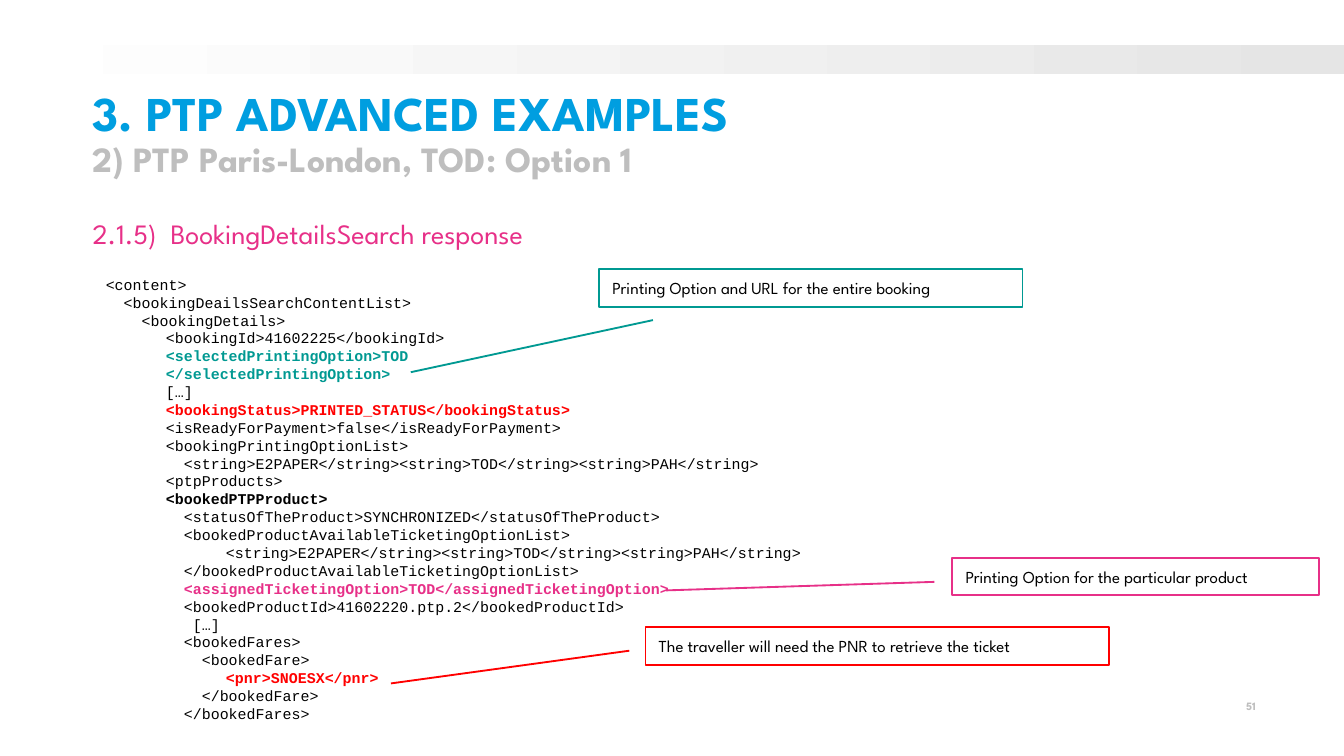
from dataclasses import dataclass

from pptx import Presentation
from pptx.dml.color import RGBColor
from pptx.enum.shapes import MSO_SHAPE as Shape
from pptx.enum.text import MSO_ANCHOR as Anchor, PP_ALIGN as Align
from pptx.slide import Slide
from pptx.text.text import TextFrame, _Paragraph as Paragraph
from pptx.util import Pt


@dataclass(frozen=True)
class Theme:
    heading_font: str = "League Spartan"
    code_font: str = "Courier New"
    white: str = "FFFFFF"
    band: str = "E5E5E5"
    black: str = "000000"
    blue: str = "009EE0"
    grey: str = "BEBEBE"
    pink: str = "E73088"
    teal: str = "009992"
    red: str = "FF0000"
    title_size: float = 26
    subtitle_size: float = 19
    section_size: float = 15
    callout_size: float = 9
    code_size: float = 8
    number_size: float = 6
    code_pitch: float = 9.57
    code_indent: float = 32.2


@dataclass(frozen=True)
class Box:
    left: float
    top: float
    width: float
    height: float

    def lengths(self) -> tuple[Pt, Pt, Pt, Pt]:
        return Pt(self.left), Pt(self.top), Pt(self.width), Pt(self.height)


@dataclass(frozen=True)
class CodeLine:
    text: str
    level: int = 1
    color: str = "000000"
    bold: bool = False


@dataclass(frozen=True)
class Callout:
    """The pointer holds y, x of its start and y, x of its end, as shares of the box."""
    text: str
    box: Box
    color: str
    pointer: tuple[float, float, float, float]


THEME = Theme()

CODE = (
    CodeLine("<content>", 0),
    CodeLine("  <bookingDeailsSearchContentList>", 0),
    CodeLine("    <bookingDetails>", 0),
    CodeLine("<bookingId>41602225</bookingId>"),
    CodeLine("<selectedPrintingOption>TOD", color=THEME.teal, bold=True),
    CodeLine("</selectedPrintingOption>", color=THEME.teal, bold=True),
    CodeLine("[…]"),
    CodeLine("<bookingStatus>PRINTED_STATUS</bookingStatus>", color=THEME.red, bold=True),
    CodeLine("<isReadyForPayment>false</isReadyForPayment>"),
    CodeLine("<bookingPrintingOptionList>"),
    CodeLine("  <string>E2PAPER</string><string>TOD</string><string>PAH</string>"),
    CodeLine("<ptpProducts>"),
    CodeLine("<bookedPTPProduct>", bold=True),
    CodeLine("  <statusOfTheProduct>SYNCHRONIZED</statusOfTheProduct>"),
    CodeLine("  <bookedProductAvailableTicketingOptionList>"),
    CodeLine("<string>E2PAPER</string><string>TOD</string><string>PAH</string>", 2),
    CodeLine("  </bookedProductAvailableTicketingOptionList>"),
    CodeLine("  <assignedTicketingOption>TOD</assignedTicketingOption>",
             color=THEME.pink, bold=True),
    CodeLine("  <bookedProductId>41602220.ptp.2</bookedProductId>"),
    CodeLine("   […]"),
    CodeLine("  <bookedFares>"),
    CodeLine("    <bookedFare>"),
    CodeLine("<pnr>SNOESX</pnr>", 2, THEME.red, True),
    CodeLine("    </bookedFare>"),
    CodeLine("  </bookedFares>"),
)

CALLOUTS = (
    Callout("Printing Option and URL for the entire booking",
            Box(321, 144, 226.8, 20.6), THEME.teal, (1.335, 0.127, 2.689, -0.445)),
    Callout("Printing Option for the particular product",
            Box(510.2, 298.9, 196.6, 20), THEME.pink, (0.643, -0.049, 0.871, -0.78)),
    Callout("The traveller will need the PNR to retrieve the ticket",
            Box(345.8, 335.7, 248.4, 20.6), THEME.red, (0.627, -0.035, 1.476, -0.549)),
)


def add_run(paragraph: Paragraph, text: str, size: float, color: str,
            bold: bool = False, font: str = THEME.heading_font) -> None:
    run = paragraph.add_run()
    run.text = text
    run.font.name = font
    run.font.size = Pt(size)
    run.font.bold = bold
    run.font.color.rgb = RGBColor.from_string(color)


def add_text_box(slide: Slide, box: Box, inset: bool = False) -> TextFrame:
    frame = slide.shapes.add_textbox(*box.lengths()).text_frame
    frame.word_wrap = True
    if not inset:
        frame.margin_left = frame.margin_top = Pt(0)
        frame.margin_right = frame.margin_bottom = Pt(0)
    return frame


def next_paragraph(frame: TextFrame, index: int) -> Paragraph:
    return frame.add_paragraph() if index else frame.paragraphs[0]


def add_band(slide: Slide) -> None:
    band = slide.shapes.add_shape(Shape.RECTANGLE, *Box(0, 24.2, 720, 15.6).lengths())
    band.shadow.inherit = False
    band.line.fill.background()
    band.fill.gradient()
    band.fill.gradient_angle = 0
    for stop, color in zip(band.fill.gradient_stops, (THEME.white, THEME.band)):
        stop.color.rgb = RGBColor.from_string(color)


def add_headings(slide: Slide) -> None:
    section = add_text_box(slide, Box(49.6, 116, 623.5, 28.8))
    add_run(section.paragraphs[0], "2.1.5)  BookingDetailsSearch response",
            THEME.section_size, THEME.pink)

    title = add_text_box(slide, Box(49.6, 48.2, 623.5, 54))
    lines = (("3. PTP ADVANCED EXAMPLES", THEME.title_size, THEME.blue),
             ("2) PTP Paris-London, TOD: Option 1", THEME.subtitle_size, THEME.grey))
    for index, (text, size, color) in enumerate(lines):
        paragraph = next_paragraph(title, index)
        paragraph.line_spacing = 0.9
        add_run(paragraph, text, size, color, bold=True)


def add_slide_number(slide: Slide) -> None:
    paragraph = add_text_box(slide, Box(617.8, 374.4, 54.9, 20.2)).paragraphs[0]
    paragraph.alignment = Align.RIGHT
    add_run(paragraph, "51", THEME.number_size, THEME.grey, bold=True)


def add_code(slide: Slide) -> None:
    frame = add_text_box(slide, Box(49.6, 144, 612, 249.8), inset=True)
    for index, line in enumerate(CODE):
        paragraph = next_paragraph(frame, index)
        paragraph.level = line.level
        properties = paragraph._p.get_or_add_pPr()
        properties.set("marL", str(Pt(line.level * THEME.code_indent)))
        properties.set("indent", "0")
        paragraph.line_spacing = Pt(THEME.code_pitch)
        add_run(paragraph, line.text, THEME.code_size, line.color, line.bold,
                THEME.code_font)


def add_callout(slide: Slide, callout: Callout) -> None:
    shape = slide.shapes.add_shape(Shape.LINE_CALLOUT_1, *callout.box.lengths())
    for index, value in enumerate(callout.pointer):
        shape.adjustments[index] = value
    shape.shadow.inherit = False
    shape.fill.solid()
    shape.fill.fore_color.rgb = RGBColor.from_string(THEME.white)
    shape.line.color.rgb = RGBColor.from_string(callout.color)
    shape.line.width = Pt(1)
    frame = shape.text_frame
    frame.word_wrap = True
    frame.vertical_anchor = Anchor.MIDDLE
    paragraph = frame.paragraphs[0]
    paragraph.alignment = Align.LEFT
    add_run(paragraph, callout.text, THEME.callout_size, THEME.black)


def main() -> None:
    presentation = Presentation()
    presentation.slide_width, presentation.slide_height = Pt(720), Pt(405)
    slide = presentation.slides.add_slide(presentation.slide_layouts[6])
    add_band(slide)
    add_headings(slide)
    add_slide_number(slide)
    add_code(slide)
    for callout in CALLOUTS:
        add_callout(slide, callout)
    presentation.save("out.pptx")


if __name__ == "__main__":
    main()
